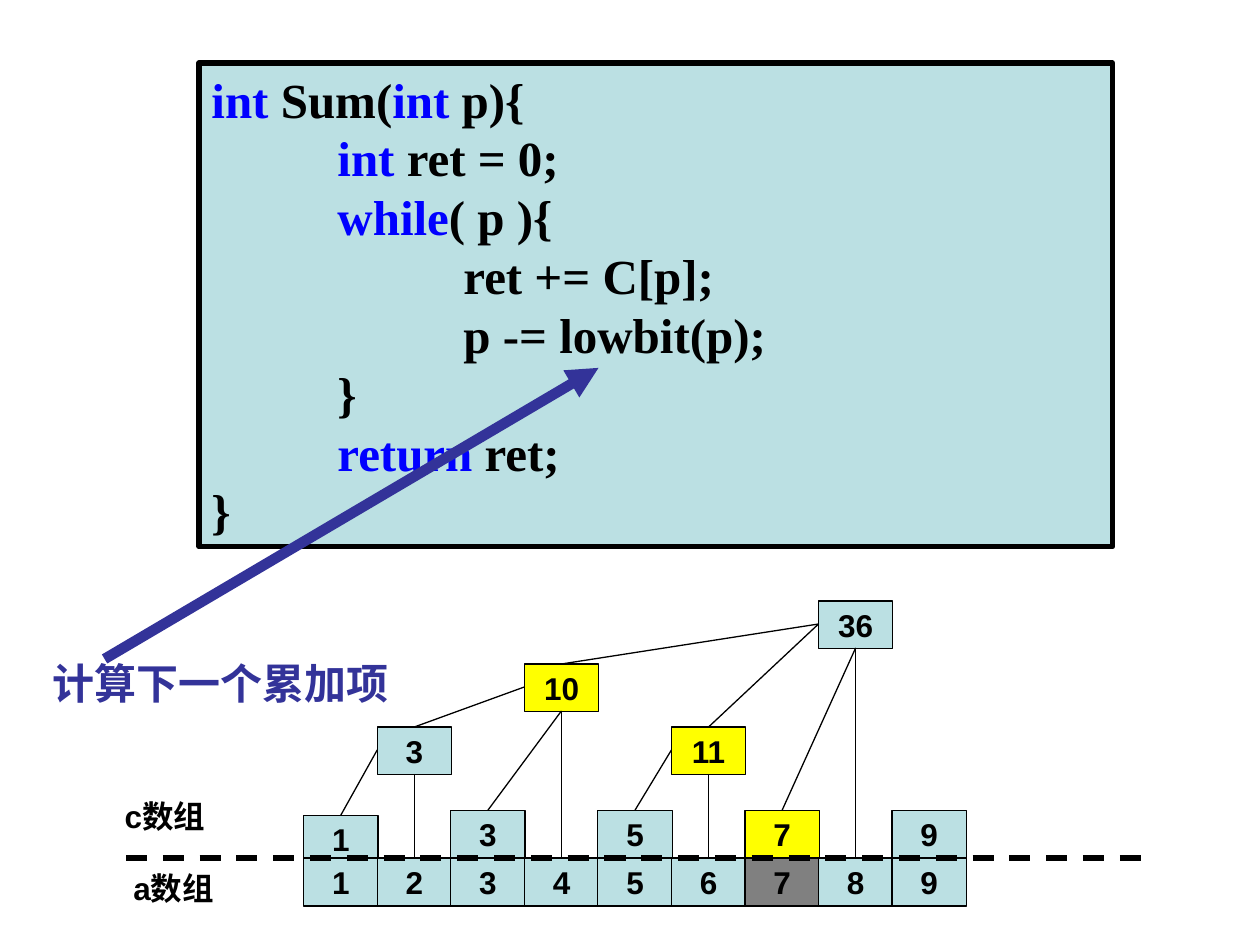
from pptx import Presentation
from pptx.dml.color import RGBColor
from pptx.enum.dml import MSO_LINE
from pptx.enum.shapes import MSO_CONNECTOR, MSO_SHAPE
from pptx.enum.text import MSO_ANCHOR, MSO_AUTO_SIZE, PP_ALIGN
from pptx.oxml.ns import qn
from pptx.util import Inches, Pt
from lxml.etree import SubElement

COLORS = {
    "pale": "BBE0E3",
    "visited": "FFFF00",
    "current": "808080",
    "ink": "000000",
    "keyword": "0000FF",
    "accent": "333399",
}
FORMATS = {
    "cell": {"name": "Arial", "size": Pt(18), "bold": True},
    "callout": {"name": "Arial", "size": Pt(24), "bold": True},
    "code": {"name": "Times New Roman", "size": Pt(28), "bold": True},
}
GRID_LEFT = 2.41
COLUMN_STEP = (7.08 - GRID_LEFT) / 8
CELL_WIDTH, CELL_HEIGHT = 0.59, 0.38
ROWS = {"root": 4.77, "quad": 5.27, "pair": 5.77, "leaf": 6.43, "first": 6.47, "array": 6.81}
SIDES = {"left": (0, 0.48), "top": (0.5, 0), "bottom": (0.5, 0.98)}

TREE_CELLS = [
    ("leaf", 3, "3", "pale"),
    ("leaf", 5, "5", "pale"),
    ("leaf", 7, "7", "visited"),
    ("leaf", 9, "9", "pale"),
    ("pair", 2, "3", "pale"),
    ("pair", 6, "11", "visited"),
    ("quad", 4, "10", "visited"),
    ("root", 8, "36", "pale"),
]
EDGES = [
    ("pair", 2, "left", "first", 1),
    ("pair", 2, "bottom", "array", 2),
    ("quad", 4, "left", "pair", 2),
    ("quad", 4, "bottom", "leaf", 3),
    ("quad", 4, "bottom", "array", 4),
    ("pair", 6, "left", "leaf", 5),
    ("pair", 6, "bottom", "array", 6),
    ("root", 8, "left", "pair", 6),
    ("root", 8, "bottom", "leaf", 7),
    ("root", 8, "bottom", "array", 8),
    ("root", 8, "left", "quad", 4),
]
KEYWORDS = {"int", "while", "return"}
CODE_LINES = [
    "int| Sum(|int| p){",
    "\t|int| ret = 0;",
    "\t|while|( p ){",
    "\t\tret += C[p];",
    "\t\tp -= lowbit(p);",
    "\t}",
    "\t|return| ret;",
    "}",
]


def color(name):
    return RGBColor.from_string(COLORS[name])


def set_attributes(target, values):
    for name, value in values.items():
        setattr(target, name, value)


def add_run(paragraph, text, format_name, color_name):
    run = paragraph.add_run()
    run.text = text
    set_attributes(run.font, FORMATS[format_name])
    run.font.color.rgb = color(color_name)


def add_box(slide, bounds, fill_name, line_width):
    shape = slide.shapes.add_shape(MSO_SHAPE.RECTANGLE, *map(Inches, bounds))
    shape.shadow.inherit = False
    shape.fill.solid()
    shape.fill.fore_color.rgb = color(fill_name)
    shape.line.color.rgb = color("ink")
    shape.line.width = Pt(line_width)
    return shape


def add_cell(slide, row, column, text, fill_name):
    left = GRID_LEFT + (column - 1) * COLUMN_STEP
    shape = add_box(slide, (left, ROWS[row], CELL_WIDTH, CELL_HEIGHT), fill_name, 0.75)
    set_attributes(shape.text_frame, {"word_wrap": False, "vertical_anchor": MSO_ANCHOR.MIDDLE})
    paragraph = shape.text_frame.paragraphs[0]
    paragraph.alignment = PP_ALIGN.CENTER
    add_run(paragraph, text, "cell", "ink")


def add_line(slide, start, end, color_name="ink", width=0.75):
    connector = slide.shapes.add_connector(MSO_CONNECTOR.STRAIGHT, *map(Inches, start + end))
    connector.line.color.rgb = color(color_name)
    connector.line.width = Pt(width)
    SubElement(connector._element.spPr, qn("a:effectLst"))
    return connector


def cell_port(row, column, side):
    across, down = SIDES[side]
    left = GRID_LEFT + (column - 1) * COLUMN_STEP
    return left + across * CELL_WIDTH, ROWS[row] + down * CELL_HEIGHT


def add_label(slide, bounds, text, format_name, color_name):
    box = slide.shapes.add_textbox(*map(Inches, bounds))
    set_attributes(box.text_frame, {"word_wrap": False, "auto_size": MSO_AUTO_SIZE.SHAPE_TO_FIT_TEXT})
    add_run(box.text_frame.paragraphs[0], text, format_name, color_name)


def add_code(slide, bounds):
    frame = add_box(slide, bounds, "pale", 3).text_frame
    set_attributes(frame, {
        "word_wrap": True,
        "vertical_anchor": MSO_ANCHOR.TOP,
        "auto_size": MSO_AUTO_SIZE.SHAPE_TO_FIT_TEXT,
    })
    for index, line in enumerate(CODE_LINES):
        paragraph = frame.add_paragraph() if index else frame.paragraphs[0]
        paragraph.alignment = PP_ALIGN.LEFT
        tabs = SubElement(paragraph._p.get_or_add_pPr(), qn("a:tabLst"))
        for stop in range(8):
            SubElement(tabs, qn("a:tab"), pos=str(Inches(stop)), algn="l")
        for part in line.split("|"):
            add_run(paragraph, part, "code", "keyword" if part in KEYWORDS else "ink")


def add_tree(slide):
    add_cell(slide, "first", 1, "1", "pale")
    for column in range(1, 10):
        add_cell(slide, "array", column, str(column), "current" if column == 7 else "pale")
    for cell in TREE_CELLS:
        add_cell(slide, *cell)
    for row, column, side, child_row, child_column in EDGES:
        add_line(slide, cell_port(row, column, side), cell_port(child_row, child_column, "top"))
    divider = add_line(slide, (1, ROWS["array"]), (9.08, ROWS["array"]), width=3)
    divider.line.dash_style = MSO_LINE.DASH


def main():
    presentation = Presentation()
    set_attributes(presentation, {"slide_width": Inches(10), "slide_height": Inches(7.5)})
    slide = presentation.slides.add_slide(presentation.slide_layouts[6])
    add_tree(slide)
    add_label(slide, (0.96, 6.85, 0.9, 0.4), "a数组", "cell", "ink")
    add_label(slide, (0.89, 6.28, 0.9, 0.4), "c数组", "cell", "ink")
    add_label(slide, (0.32, 5.17, 2.9, 0.5), "计算下一个累加项", "callout", "accent")
    add_code(slide, (1.58, 0.5, 7.25, 3.84))
    arrow = add_line(slide, (0.83, 5.23), (4.75, 2.92), "accent", 6)
    SubElement(arrow.line._get_or_add_ln(), qn("a:tailEnd"), type="triangle")
    presentation.save("out.pptx")


if __name__ == "__main__":
    main()
